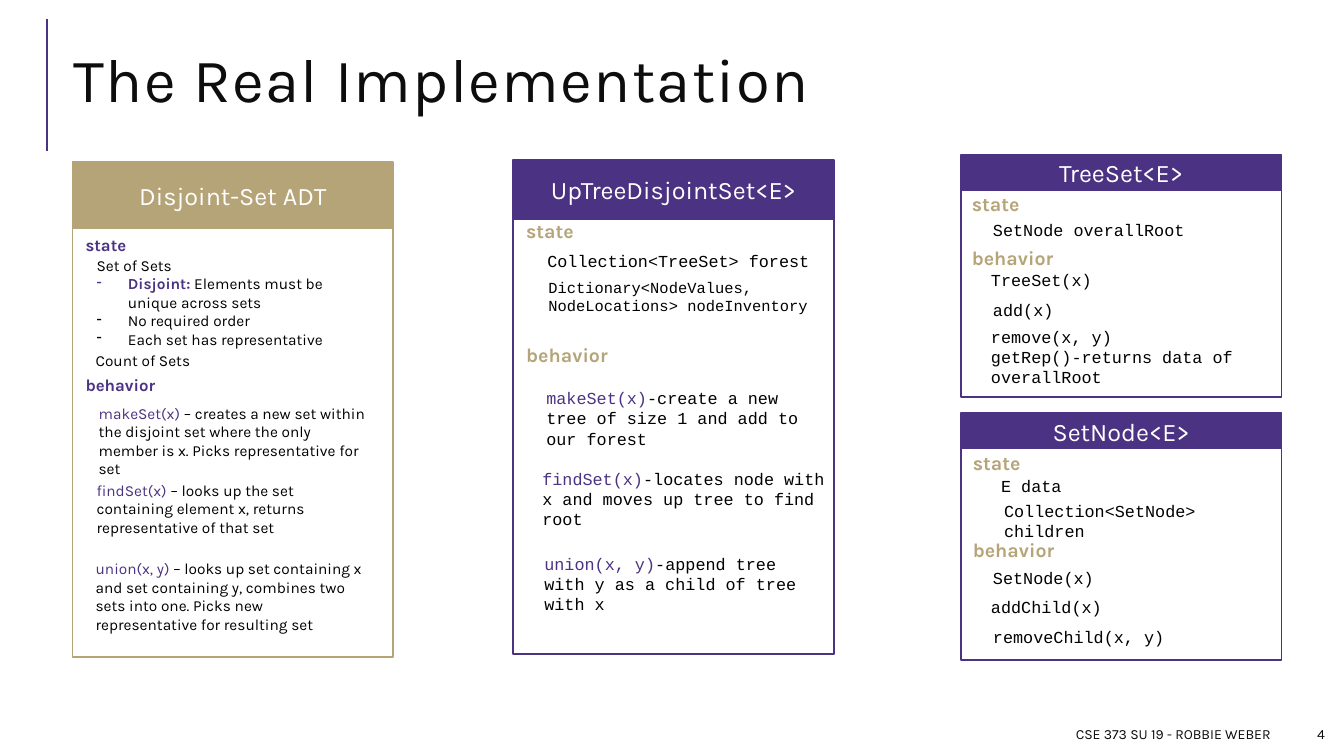
from pptx import Presentation
from pptx.dml.color import RGBColor
from pptx.enum.shapes import MSO_CONNECTOR as Conn, MSO_SHAPE as Shape
from pptx.enum.text import MSO_ANCHOR as Anchor, MSO_AUTO_SIZE as Fit, PP_ALIGN as Align
from pptx.oxml.ns import qn
from pptx.util import Inches, Pt
from lxml import etree

PURPLE = RGBColor(0x4C, 0x32, 0x82)
GOLD = RGBColor(0xB6, 0xA4, 0x79)
BLACK = RGBColor(0, 0, 0)
INK = RGBColor(0x0D, 0x0D, 0x0D)
WHITE = RGBColor(0xFF, 0xFF, 0xFF)
SANS, MONO = "Karla", "Courier New"
WIDE = 3.18  # width of every panel


def style(run, font, size, color, bold=False):
    run.font.name = font
    run.font.size = Pt(size)
    run.font.bold = bold
    run.font.color.rgb = color


def add_text(shapes, box, lines, font, size, color=BLACK, bold=False,
             align=Align.LEFT, anchor=Anchor.TOP, fit=Fit.SHAPE_TO_FIT_TEXT):
    """Add a text box; each line is one paragraph."""
    frame = shapes.add_textbox(*map(Inches, box)).text_frame
    frame.text = "\n".join(lines)
    frame.word_wrap = True
    frame.auto_size = fit
    frame.vertical_anchor = anchor
    for para in frame.paragraphs:
        para.alignment = align
        for run in para.runs:
            style(run, font, size, color, bold)
    return frame


def add_lead(para, lead, rest, font, size, bold=False):
    """Fill a paragraph with a purple lead and black text after it."""
    para.text = lead
    style(para.runs[0], font, size, PURPLE, bold)
    run = para.add_run()
    run.text = rest
    style(run, font, size, BLACK)


def add_method(shapes, box, lead, rest, font, size):
    frame = add_text(shapes, box, [lead], font, size)
    add_lead(frame.paragraphs[0], lead, rest, font, size)


def add_dash(para):
    props = para._p.get_or_add_pPr()
    props.set("marL", str(Inches(0.31)))
    props.set("indent", str(-Inches(0.31)))
    etree.SubElement(props, qn("a:buChar")).set("char", "-")


def add_panel(slide, name, left, top, head, body, color):
    """Add a group with an outlined body below a filled head."""
    shapes = slide.shapes.add_group_shape().shapes
    for y, high in ((top + head, body), (top, head)):
        rect = shapes.add_shape(Shape.RECTANGLE, *map(Inches, (left, y, WIDE, high)))
        rect.shadow.inherit = False
        rect.fill.background()
        rect.line.color.rgb = color
        rect.line.width = Pt(1.25)
    rect.fill.solid()
    rect.fill.fore_color.rgb = color
    frame = rect.text_frame
    frame.text = name
    frame.vertical_anchor = Anchor.MIDDLE
    frame.paragraphs[0].alignment = Align.CENTER
    style(frame.paragraphs[0].runs[0], SANS, 18, WHITE)
    return shapes


def add_heads(shapes, left, state, behavior, size, color):
    for text, top in (("state", state), ("behavior", behavior)):
        add_text(shapes, (left, top, 2.23, 0.3), [text], SANS, size, color, True)


def add_code(shapes, items):
    for left, top, wide, *lines in items:
        add_text(shapes, (left, top, wide, 0.3), lines, MONO, 12)


def add_frame(slide):
    # Title
    title = slide.shapes.title
    title.left, title.top, title.width, title.height = map(Inches, (0.63, 0.29, 12.23, 1.11))
    frame = title.text_frame
    frame.text = "The Real Implementation"
    frame.auto_size = Fit.NONE
    frame.vertical_anchor = Anchor.MIDDLE
    para = frame.paragraphs[0]
    para.alignment = Align.LEFT
    para.line_spacing = 0.8
    style(para.runs[0], SANS, 44, INK)
    para.runs[0].font._element.set("spc", "100")
    # Accent rule
    rule = slide.shapes.add_connector(Conn.STRAIGHT, *map(Inches, (0.47, 1.5, 0.47, 0.19)))
    rule.line.color.rgb = PURPLE
    rule.line.width = Pt(1.5)
    etree.SubElement(rule._element.spPr, qn("a:effectLst"))
    # Footer and page number
    for left, wide, text in ((6.25, 6.45, "CSE 373 SU 19 - ROBBIE WEBER"), (12.78, 0.46, "4")):
        add_text(slide.shapes, (left, 7.13, wide, 0.3), [text], SANS, 10, INK,
                 align=Align.RIGHT, anchor=Anchor.MIDDLE, fit=Fit.NONE)


def add_adt(slide):
    shapes = add_panel(slide, "Disjoint-Set ADT", 0.72, 1.61, 0.65, 4.26, GOLD)
    add_heads(shapes, 0.75, 2.28, 3.67, 12, PURPLE)
    frame = add_text(shapes, (0.86, 2.49, 2.89, 1.03),
                     ["Set of Sets", "Disjoint:", "No required order",
                      "Each set has representative"], SANS, 11)
    dashes = frame.paragraphs[1:]
    add_lead(dashes[0], "Disjoint:", " Elements must be unique across sets", SANS, 11, True)
    for para in dashes:
        add_dash(para)
    add_text(shapes, (0.85, 3.43, 2.53, 0.29), ["Count of Sets"], SANS, 11)
    for box, lead, rest in (
        ((0.88, 3.96, 2.85, 0.66), "makeSet(x) ",
         "– creates a new set within the disjoint set where the only member is x. "
         "Picks representative for set"),
        ((0.86, 4.72, 2.78, 0.66), "findSet(x) ",
         "– looks up the set containing element x, returns representative of that set"),
        ((0.85, 5.5, 2.89, 0.84), "union(x, y) ",
         "– looks up set containing x and set containing y, combines two sets into one. "
         "Picks new representative for resulting set"),
    ):
        add_method(shapes, box, lead, rest, SANS, 11)


def add_uptree(slide):
    shapes = add_panel(slide, "UpTreeDisjointSet<E>", 5.09, 1.59, 0.58, 4.32, PURPLE)
    add_heads(shapes, 5.12, 2.12, 3.35, 14, GOLD)
    add_code(shapes, [(5.33, 2.44, 2.85, "Collection<TreeSet> forest")])
    add_text(shapes, (5.34, 2.71, 2.78, 0.47),
             ["Dictionary<NodeValues, NodeLocations> nodeInventory"], MONO, 11)
    for box, lead, rest in (
        ((5.32, 3.8, 2.79, 0.71), "makeSet(x)",
         "-create a new tree of size 1 and add to our forest"),
        ((5.28, 4.6, 3.05, 0.71), "findSet(x)",
         "-locates node with x and moves up tree to find root"),
        ((5.3, 5.44, 2.95, 0.71), "union(x, y)",
         "-append tree with y as a child of tree with x"),
    ):
        add_method(shapes, box, lead, rest, MONO, 12)


def add_nodes(slide):
    # Tree class
    tree = add_panel(slide, "TreeSet<E>", 9.53, 1.54, 0.35, 2.05, PURPLE)
    add_heads(tree, 9.54, 1.86, 2.39, 14, GOLD)
    add_code(tree, [
        (9.75, 2.13, 2.58, "SetNode overallRoot"),
        (9.73, 2.63, 2.79, "TreeSet(x)"),
        (9.75, 2.92, 3.05, "add(x)"),
        (9.73, 3.19, 2.95, "remove(x, y)", "getRep()-returns data of overallRoot"),
    ])
    # Node class
    node = add_panel(slide, "SetNode<E>", 9.53, 4.1, 0.35, 2.1, PURPLE)
    add_heads(node, 9.55, 4.42, 5.29, 14, GOLD)
    add_code(node, [
        (9.83, 4.67, 2.58, "E data"),
        (9.86, 4.92, 2.58, "Collection<SetNode> children"),
        (9.75, 5.58, 2.79, "SetNode(x)"),
        (9.73, 5.87, 3.05, "addChild(x)"),
        (9.75, 6.17, 2.95, "removeChild(x, y)"),
    ])


def main():
    deck = Presentation()
    deck.slide_width, deck.slide_height = Inches(13.33), Inches(7.5)
    slide = deck.slides.add_slide(deck.slide_layouts[5])
    add_frame(slide)
    add_adt(slide)
    add_uptree(slide)
    add_nodes(slide)
    deck.save("out.pptx")


if __name__ == "__main__":
    main()
